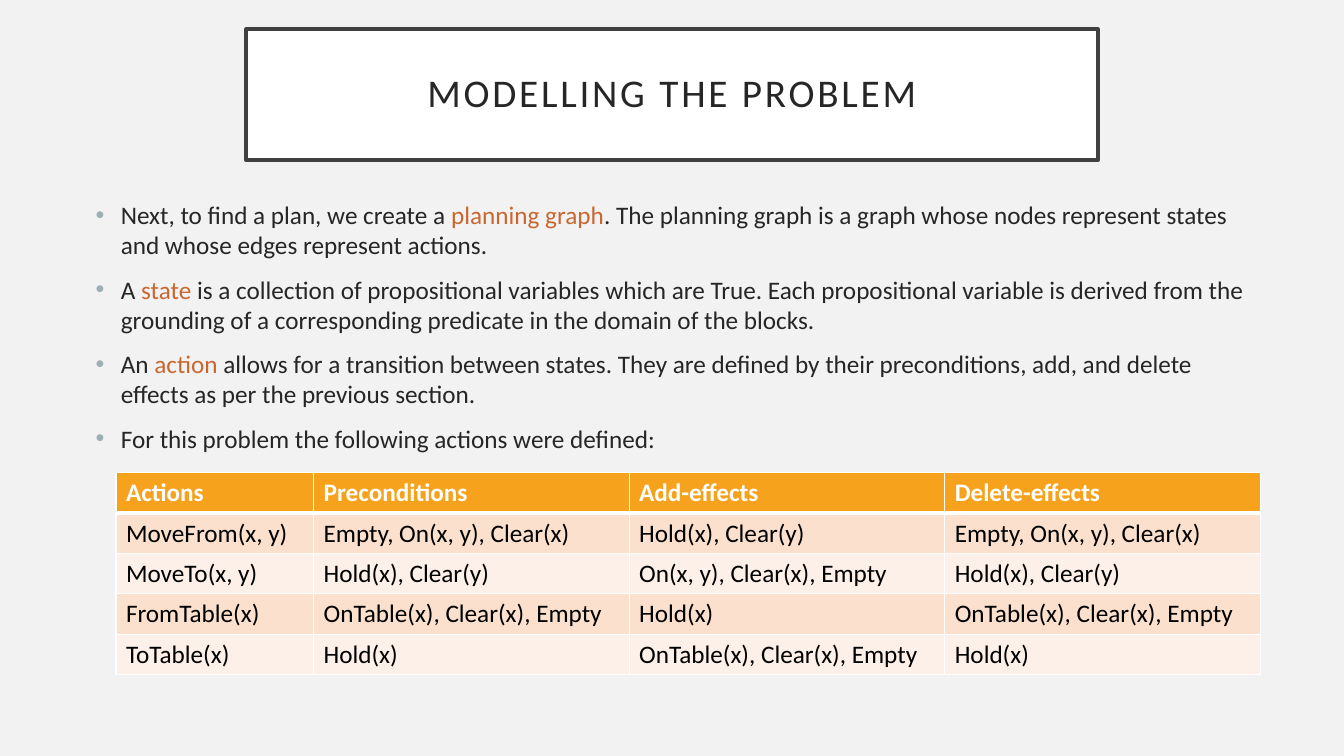
"""Build the slide on modelling a planning problem."""
from typing import NamedTuple

from lxml.etree import SubElement
from pptx import Presentation
from pptx.dml.color import RGBColor
from pptx.enum.shapes import MSO_SHAPE as Shape
from pptx.enum.text import MSO_ANCHOR as Anchor, PP_ALIGN as Align
from pptx.oxml.ns import qn
from pptx.util import Inches, Pt

FONT = "Calibri"
COLORS = {
    "background": "F2F2F2", "white": "FFFFFF", "frame": "404040",
    "text": "262626", "accent": "C96731", "bullet": "9BAFB5",
    "header": "F6A21D", "odd row": "FBE0CD", "even row": "FDF0E8",
    "cell text": "000000",
}


class Bullet(NamedTuple):
    before: str
    term: str = ""
    after: str = ""


class Action(NamedTuple):
    name: str
    preconditions: str
    add_effects: str
    delete_effects: str


BULLETS = [
    Bullet("Next, to find a plan, we create a ", "planning graph",
           ". The planning graph is a graph whose nodes represent states "
           "and whose edges represent actions. "),
    Bullet("A ", "state",
           " is a collection of propositional variables which are True. Each "
           "propositional variable is derived from the grounding of a "
           "corresponding predicate in the domain of the blocks."),
    Bullet("An ", "action",
           " allows for a transition between states. They are defined by their "
           "preconditions, add, and delete effects as per the previous section. "),
    Bullet("For this problem the following actions were defined:"),
]
HEADER = Action("Actions", "Preconditions", "Add-effects", "Delete-effects")
ACTIONS = [
    Action("MoveFrom(x, y)", "Empty, On(x, y), Clear(x)",
           "Hold(x), Clear(y)", "Empty, On(x, y), Clear(x)"),
    Action("MoveTo(x, y)", "Hold(x), Clear(y)",
           "On(x, y), Clear(x), Empty", "Hold(x), Clear(y)"),
    Action("FromTable(x)", "OnTable(x), Clear(x), Empty",
           "Hold(x)", "OnTable(x), Clear(x), Empty"),
    Action("ToTable(x)", "Hold(x)", "OnTable(x), Clear(x), Empty", "Hold(x)"),
]
COLUMN_WIDTHS = [1.96, 3.13, 3.13, 3.13]
ROW_HEIGHT = 0.4


def color(name: str) -> RGBColor:
    return RGBColor.from_string(COLORS[name])


def set_font(font, size: float, color_name: str, bold: bool = False) -> None:
    font.name, font.size, font.bold = FONT, Pt(size), bold
    font.color.rgb = color(color_name)


def add_title(slide, text: str) -> None:
    shape = slide.shapes.add_shape(
        Shape.RECTANGLE, Inches(2.44), Inches(0.29), Inches(8.45), Inches(1.3))
    shape.shadow.inherit = False
    shape.fill.solid()
    shape.fill.fore_color.rgb = color("white")
    shape.line.color.rgb = color("frame")
    shape.line.width = Pt(2.5)
    frame = shape.text_frame
    frame.vertical_anchor = Anchor.MIDDLE
    frame.margin_left = frame.margin_right = Inches(0.2)
    frame.margin_top = frame.margin_bottom = Inches(0.2)
    paragraph = frame.paragraphs[0]
    paragraph.alignment = Align.CENTER
    paragraph.line_spacing = 0.9
    run = paragraph.add_run()
    run.text = text
    set_font(run.font, 28, "text")
    run.font._element.set("spc", "200") if hasattr(run.font, "_element") else \
        run._r.get_or_add_rPr().set("spc", "200")


def add_bullet_mark(paragraph) -> None:
    properties = paragraph._p.get_or_add_pPr()
    properties.set("marL", str(Inches(0.25)))
    properties.set("indent", str(-Inches(0.25)))
    bullet_color = SubElement(properties, qn("a:buClr"))
    SubElement(bullet_color, qn("a:srgbClr"), val=COLORS["bullet"])
    SubElement(properties, qn("a:buFont"), typeface="Arial")
    SubElement(properties, qn("a:buChar"), char="•")


def add_bullets(slide, bullets: list[Bullet]) -> None:
    frame = slide.shapes.add_textbox(
        Inches(0.85), Inches(1.93), Inches(11.64), Inches(5.12)).text_frame
    frame.word_wrap = True
    for index, bullet in enumerate(bullets):
        paragraph = frame.add_paragraph() if index else frame.paragraphs[0]
        paragraph.space_before = Pt(10)
        add_bullet_mark(paragraph)
        for part, text in bullet._asdict().items():
            if text:
                run = paragraph.add_run()
                run.text = text
                set_font(run.font, 18, "accent" if part == "term" else "text")


def set_borders(cell, top: float, bottom: float) -> None:
    properties = cell._tc.get_or_add_tcPr()
    for side, width in {"L": 1, "R": 1, "T": top, "B": bottom}.items():
        line = SubElement(properties, qn(f"a:ln{side}"), w=str(Pt(width)))
        fill = SubElement(line, qn("a:solidFill"))
        SubElement(fill, qn("a:srgbClr"), val=COLORS["white"])


def add_actions_table(slide, rows: list[Action]) -> None:
    table = slide.shapes.add_table(
        len(rows), len(COLUMN_WIDTHS), Inches(1.15), Inches(4.69),
        Inches(sum(COLUMN_WIDTHS)), Inches(ROW_HEIGHT * len(rows))).table
    for column, width in zip(table.columns, COLUMN_WIDTHS):
        column.width = Inches(width)
    for index, (row, action) in enumerate(zip(table.rows, rows)):
        row.height = Inches(ROW_HEIGHT)
        is_header = index == 0
        fill = "header" if is_header else "odd row" if index % 2 else "even row"
        for cell, text in zip(row.cells, action):
            set_borders(cell, 3 if index == 1 else 1, 3 if is_header else 1)
            cell.fill.solid()
            cell.fill.fore_color.rgb = color(fill)
            cell.text = text
            set_font(cell.text_frame.paragraphs[0].font, 18,
                     "white" if is_header else "cell text", is_header)


def main() -> None:
    presentation = Presentation()
    presentation.slide_width = Inches(13.33)
    presentation.slide_height = Inches(7.5)
    slide = presentation.slides.add_slide(presentation.slide_layouts[6])
    slide.background.fill.solid()
    slide.background.fill.fore_color.rgb = color("background")
    add_title(slide, "MODELLING THE PROBLEM")
    add_bullets(slide, BULLETS)
    add_actions_table(slide, [HEADER, *ACTIONS])
    presentation.save("out.pptx")


main()
